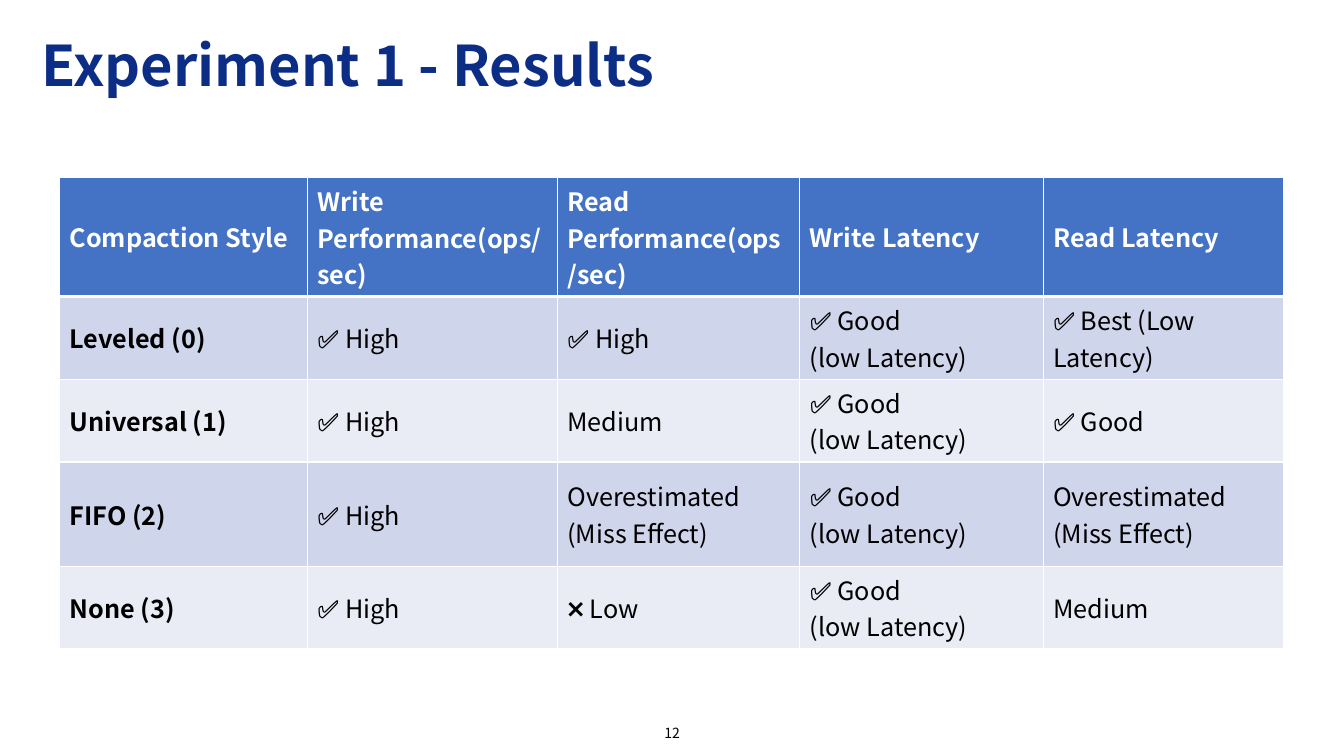
from lxml import etree
from pptx import Presentation
from pptx.dml.color import RGBColor
from pptx.enum.text import MSO_ANCHOR, PP_ALIGN
from pptx.oxml.ns import qn
from pptx.util import Pt

LEFT, CENTER = PP_ALIGN.LEFT, PP_ALIGN.CENTER
MIDDLE = MSO_ANCHOR.MIDDLE
FONT = "Noto Sans CJK KR"
WHITE, BLACK, NAVY, BLUE = "FFFFFF", "000000", "0B2D86", "4472C4"
BANDS = ["CFD5EA", "E9EBF5"]

COLS = [177.1, 178.5, 173.2, 173.9, 171.8]
HEIGHTS = [85, 59.2, 59.2, 74.4, 59.2]
GOOD = "✅ Good\n(low Latency)"
MISS = "Overestimated\n(Miss Effect)"
ROWS = [
    ["Compaction Style", "Write Performance(ops/sec)",
     "Read Performance(ops/sec)", "Write Latency", "Read Latency"],
    ["Leveled (0)", "✅ High", "✅ High", GOOD, "✅ Best (Low Latency)"],
    ["Universal (1)", "✅ High", "Medium", GOOD, "✅ Good"],
    ["FIFO (2)", "✅ High", MISS, GOOD, MISS],
    ["None (3)", "✅ High", "❌ Low", GOOD, "Medium"],
]


def color(code):
    return RGBColor.from_string(code)


def write(frame, text, size=18, fill=BLACK, bold=False, align=LEFT, space=1.0):
    frame.word_wrap = True
    for i, line in enumerate(text.split("\n")):
        para = frame.paragraphs[0] if i == 0 else frame.add_paragraph()
        para.alignment = align
        para.line_spacing = space
        run = para.add_run()
        run.text = line
        font = run.font
        font.name, font.size, font.bold = FONT, Pt(size), bold
        font.color.rgb = color(fill)


def border(cell, side, width):
    line = etree.SubElement(cell._tc.get_or_add_tcPr(), qn(f"a:ln{side}"),
                            w=str(Pt(width)))
    fill = etree.SubElement(line, qn("a:solidFill"))
    etree.SubElement(fill, qn("a:srgbClr"), val=WHITE)


def style(cell, text, row, col):
    """Write one cell; its borders must come before its fill."""
    head = row == 0
    widths = {"L": 1, "R": 1, "T": 3 if row == 1 else 1, "B": 3 if head else 1}
    for side, width in widths.items():
        border(cell, side, width)
    cell.fill.solid()
    cell.fill.fore_color.rgb = color(BLUE if head else BANDS[(row - 1) % 2])
    cell.vertical_anchor = MIDDLE
    write(cell.text_frame, text, fill=WHITE if head else BLACK,
          bold=head or col == 0)


def add_grid(slide, left, top):
    table = slide.shapes.add_table(len(ROWS), len(COLS), Pt(left), Pt(top),
                                   Pt(sum(COLS)), Pt(sum(HEIGHTS))).table
    for col, width in zip(table.columns, COLS):
        col.width = Pt(width)
    for r, (texts, height) in enumerate(zip(ROWS, HEIGHTS)):
        table.rows[r].height = Pt(height)
        for c, text in enumerate(texts):
            style(table.cell(r, c), text, r, c)


def add_title(slide, text):
    title = slide.shapes.title
    title.left, title.top = Pt(22.5), Pt(16.2)
    title.width, title.height = Pt(910.8), Pt(65.5)
    title.text_frame.vertical_anchor = MIDDLE
    write(title.text_frame, text, size=40, fill=NAVY, bold=True, space=0.9)


def add_number(slide, text):
    box = slide.shapes.add_textbox(Pt(372.2), Pt(511.9), Pt(216), Pt(23))
    box.text_frame.vertical_anchor = MIDDLE
    write(box.text_frame, text, size=10, align=CENTER)


def main():
    deck = Presentation()
    deck.slide_width, deck.slide_height = Pt(960), Pt(540)
    slide = deck.slides.add_slide(deck.slide_layouts.get_by_name("Title Only"))
    add_title(slide, "Experiment 1 - Results")
    add_number(slide, "12")
    add_grid(slide, 42.5, 126.7)
    deck.save("out.pptx")


if __name__ == "__main__":
    main()
